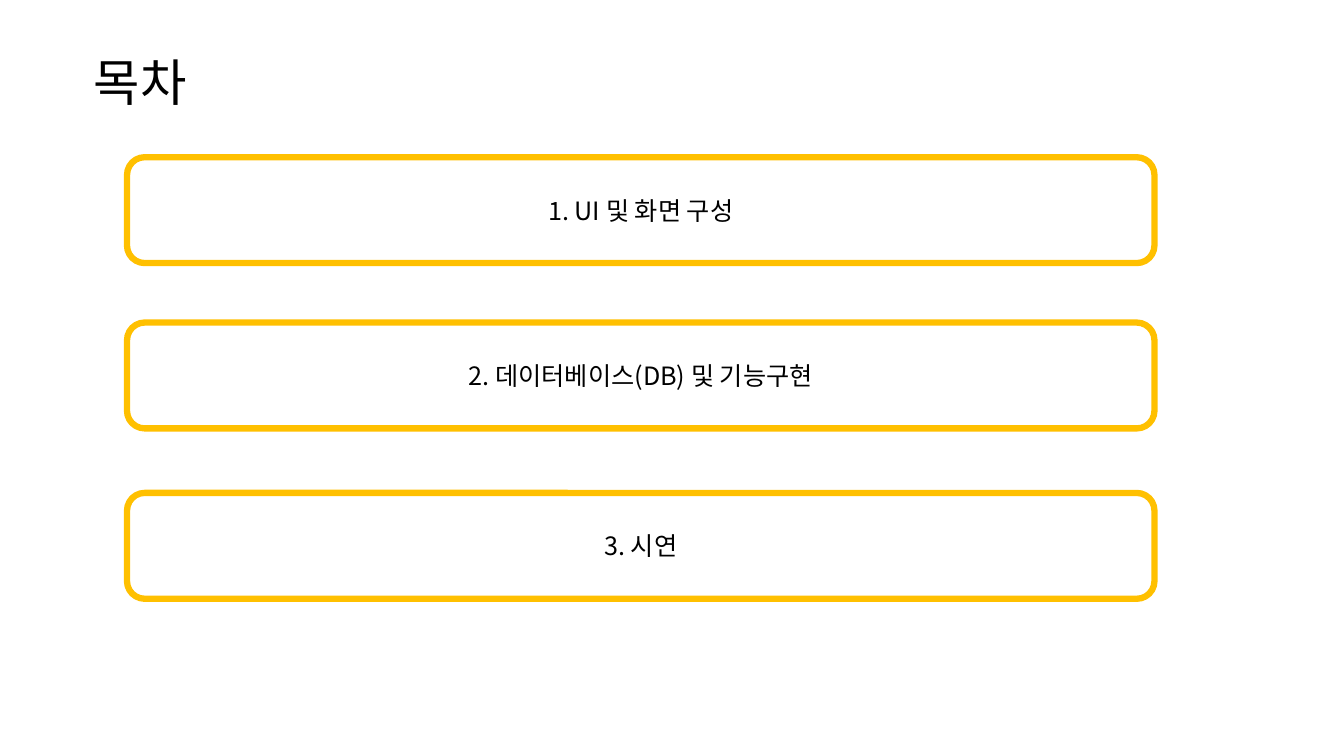
from dataclasses import dataclass

import pptx
import pptx.dml.color
import pptx.enum.shapes
import pptx.enum.text
import pptx.oxml.ns
import pptx.util
from lxml import etree

Inches = pptx.util.Inches
Pt = pptx.util.Pt
RGBColor = pptx.dml.color.RGBColor
PP_ALIGN = pptx.enum.text.PP_ALIGN
MSO_ANCHOR = pptx.enum.text.MSO_ANCHOR


@dataclass(frozen=True)
class Theme:
    font: str = "Noto Sans CJK KR"
    text: RGBColor = RGBColor(0, 0, 0)
    fill: RGBColor = RGBColor(255, 255, 255)
    accent: RGBColor = RGBColor(255, 192, 0)
    title_size: int = 36
    item_size: int = 18
    border: float = 4.5


class AgendaSlide:
    def __init__(self, prs, theme):
        self.theme = theme
        self.s = prs.slides.add_slide(prs.slide_layouts.get_by_name("Title Only"))

    def set_text(self, sp, text, size, align, anchor):
        """Fill a shape with one paragraph in the theme's font."""
        tf = sp.text_frame
        tf.word_wrap = True
        tf.auto_size = pptx.enum.text.MSO_AUTO_SIZE.NONE
        tf.vertical_anchor = anchor
        p = tf.paragraphs[0]
        p.alignment = align
        r = p.add_run()
        r.text = text
        formats = {"name": self.theme.font, "size": Pt(size), "bold": False}
        for name, value in formats.items():
            setattr(r.font, name, value)
        r.font.color.rgb = self.theme.text
        ea = etree.SubElement(r.font._element, pptx.oxml.ns.qn("a:ea"))
        ea.set("typeface", self.theme.font)

    def title(self, text, left, top, width, height):
        sp = self.s.shapes.title
        box = {"left": left, "top": top, "width": width, "height": height}
        for name, value in box.items():
            setattr(sp, name, Inches(value))
        self.set_text(sp, text, self.theme.title_size, PP_ALIGN.LEFT, MSO_ANCHOR.TOP)

    def item(self, text, left, top, width, height):
        sp = self.s.shapes.add_shape(
            pptx.enum.shapes.MSO_SHAPE.ROUNDED_RECTANGLE,
            Inches(left), Inches(top), Inches(width), Inches(height))
        sp.shadow.inherit = False
        sp.fill.solid()
        sp.fill.fore_color.rgb = self.theme.fill
        sp.line.color.rgb = self.theme.accent
        sp.line.width = Pt(self.theme.border)
        self.set_text(sp, text, self.theme.item_size, PP_ALIGN.CENTER, MSO_ANCHOR.MIDDLE)


def main():
    prs = pptx.Presentation()
    prs.slide_width, prs.slide_height = Inches(13.33), Inches(7.5)
    agenda = AgendaSlide(prs, Theme())
    agenda.title("목차", 0.83, 0.46, 1.32, 0.71)
    items = {
        "1. UI 및 화면 구성": 1.56,
        "2. 데이터베이스(DB) 및 기능구현": 3.2,
        "3. 시연": 4.89,
    }
    for text, top in items.items():
        agenda.item(text, 1.26, top, 10.19, 1.05)
    prs.save("out.pptx")


if __name__ == "__main__":
    main()
